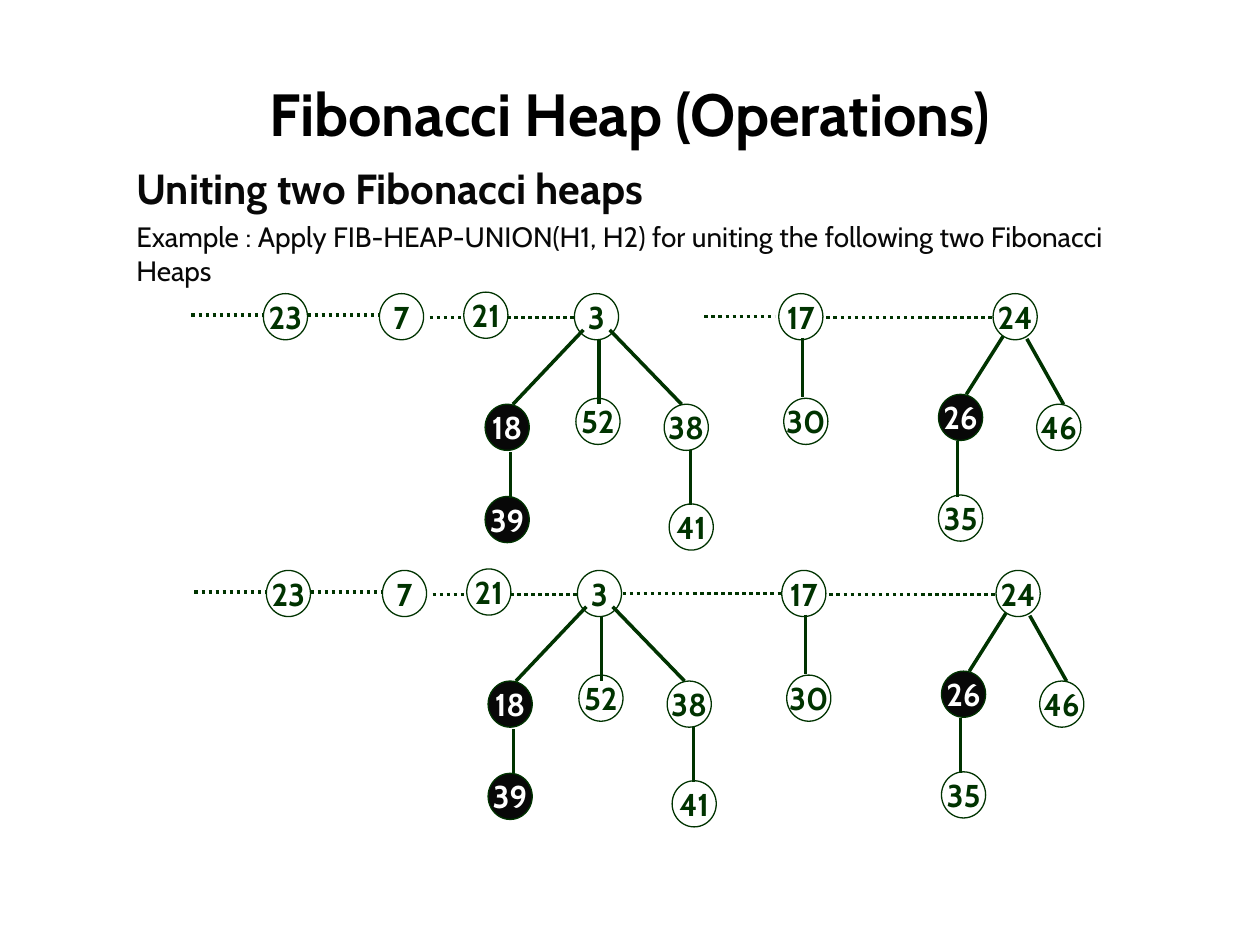
import pptx
import pptx.dml.color
import pptx.enum.dml
import pptx.enum.shapes
import pptx.enum.text
import pptx.oxml.ns
import pptx.util
import lxml.etree

Cm = pptx.util.Cm
Pt = pptx.util.Pt
ALIGN = pptx.enum.text.PP_ALIGN
ANCHOR = pptx.enum.text.MSO_ANCHOR

COLOURS = {"black": "000000", "ink": "080808", "green": "003300", "white": "FFFFFF"}

FORMATS = {
    "title": {"size": Pt(34), "bold": True},
    "heading": {"size": Pt(24), "bold": True},
    "body": {"size": Pt(16), "bold": False},
    "key": {"size": Pt(18), "bold": True},
}

NODES = [
    ("23", 5.31, 5.92), ("7", 7.65, 5.92), ("41", 13.49, 10.16),
    ("39", 9.78, 10.01), ("24", 20.02, 5.92), ("30", 15.8, 8.03),
    ("17", 15.7, 5.92), ("38", 13.39, 8.15), ("18", 9.78, 8.15),
    ("52", 11.61, 8.03), ("26", 18.92, 7.95), ("3", 11.58, 5.92),
    ("46", 20.9, 8.15), ("35", 18.92, 9.98),
]
LAST_NODE = ("21", 9.35, 5.89)
MARKED = {"18", "26", "39"}

ROOT_LINKS = [
    (3.86, 6.35, 5.31, 6.35), (6.2, 6.35, 7.65, 6.35),
    (8.66, 6.4, 11.58, 6.4), (16.66, 6.4, 20.02, 6.4),
]
CHILD_LINKS = [
    (11.76, 6.65, 10.34, 8.15), (12.07, 6.86, 12.07, 8.15),
    (12.29, 6.65, 13.74, 8.15), (10.29, 9.12, 10.29, 10.03),
    (13.92, 9.07, 13.92, 10.19), (16.18, 6.81, 16.18, 8),
    (20.22, 6.78, 19.48, 7.95), (20.7, 6.83, 21.44, 8.15),
    (19.3, 8.89, 19.3, 10.01),
]
SEPARATE_LINK = (14.2, 6.38, 15.62, 6.38)
UNITED_LINK = (12.49, 6.38, 15.71, 6.38)


class HeapSlide:
    font_name = "Cabin"
    node_width, node_height = 0.89, 0.93

    def __init__(self, page):
        self.page = page

    def colour(self, name):
        return pptx.dml.color.RGBColor.from_string(COLOURS[name])

    def fill_para(self, para, text, style, colour, align):
        para.alignment = align
        span = para.add_run()
        span.text = text
        for name, value in {"name": self.font_name, **FORMATS[style]}.items():
            setattr(span.font, name, value)
        span.font.color.rgb = self.colour(colour)

    def text(self, left, top, width, height, lines, colour, align, anchor):
        box = self.page.shapes.add_textbox(Cm(left), Cm(top), Cm(width), Cm(height))
        frame = box.text_frame
        frame.word_wrap = True
        frame.vertical_anchor = anchor
        for index, (text, style) in enumerate(lines):
            para = frame.add_paragraph() if index else frame.paragraphs[0]
            if index:
                para.space_before = Pt(4)
            self.fill_para(para, text, style, colour, align)

    def node(self, group, key, left, top):
        fill, ink = ("ink", "white") if key in MARKED else ("white", "green")
        oval = group.shapes.add_shape(
            pptx.enum.shapes.MSO_SHAPE.OVAL,
            Cm(left), Cm(top), Cm(self.node_width), Cm(self.node_height))
        oval.shadow.inherit = False
        oval.fill.solid()
        oval.fill.fore_color.rgb = self.colour(fill)
        oval.line.color.rgb = self.colour("green")
        oval.line.width = Pt(0.75)
        frame = oval.text_frame
        frame.word_wrap = False
        frame.vertical_anchor = ANCHOR.MIDDLE
        self.fill_para(frame.paragraphs[0], key, "key", ink, ALIGN.CENTER)

    def link(self, group, ends, dx, dy, dotted=False):
        x1, y1, x2, y2 = ends
        line = group.shapes.add_connector(
            pptx.enum.shapes.MSO_CONNECTOR.STRAIGHT,
            Cm(x1 + dx), Cm(y1 + dy), Cm(x2 + dx), Cm(y2 + dy))
        line.line.color.rgb = self.colour("green")
        line.line.width = Pt(2)
        if dotted:
            line.line.dash_style = pptx.enum.dml.MSO_LINE.ROUND_DOT
        lxml.etree.SubElement(
            line._element.spPr, pptx.oxml.ns.qn("a:effectLst"))

    def heap(self, middle_link, dx=0, dy=0):
        group = self.page.shapes.add_group_shape()
        for key, left, top in NODES:
            self.node(group, key, left + dx, top + dy)
        for ends in ROOT_LINKS + [middle_link]:
            self.link(group, ends, dx, dy, dotted=True)
        for ends in CHILD_LINKS:
            self.link(group, ends, dx, dy)
        key, left, top = LAST_NODE
        self.node(group, key, left + dx, top + dy)


def main():
    deck = pptx.Presentation()
    deck.slide_width, deck.slide_height = Cm(25.4), Cm(19.05)
    slide = HeapSlide(deck.slides.add_slide(deck.slide_layouts[6]))
    slide.text(1.27, 1.27, 22.86, 2.01,
               [("Fibonacci Heap (Operations)", "title")],
               "black", ALIGN.CENTER, ANCHOR.MIDDLE)
    slide.text(2.5, 3.15, 19.99, 4.32, [
        ("Uniting two Fibonacci heaps", "heading"),
        ("Example : Apply FIB-HEAP-UNION(H1, H2) for uniting the following "
         "two Fibonacci Heaps", "body"),
    ], "ink", ALIGN.JUSTIFY, ANCHOR.TOP)
    slide.heap(SEPARATE_LINK)
    slide.heap(UNITED_LINK, dx=0.06, dy=5.58)
    deck.save("out.pptx")


if __name__ == "__main__":
    main()
